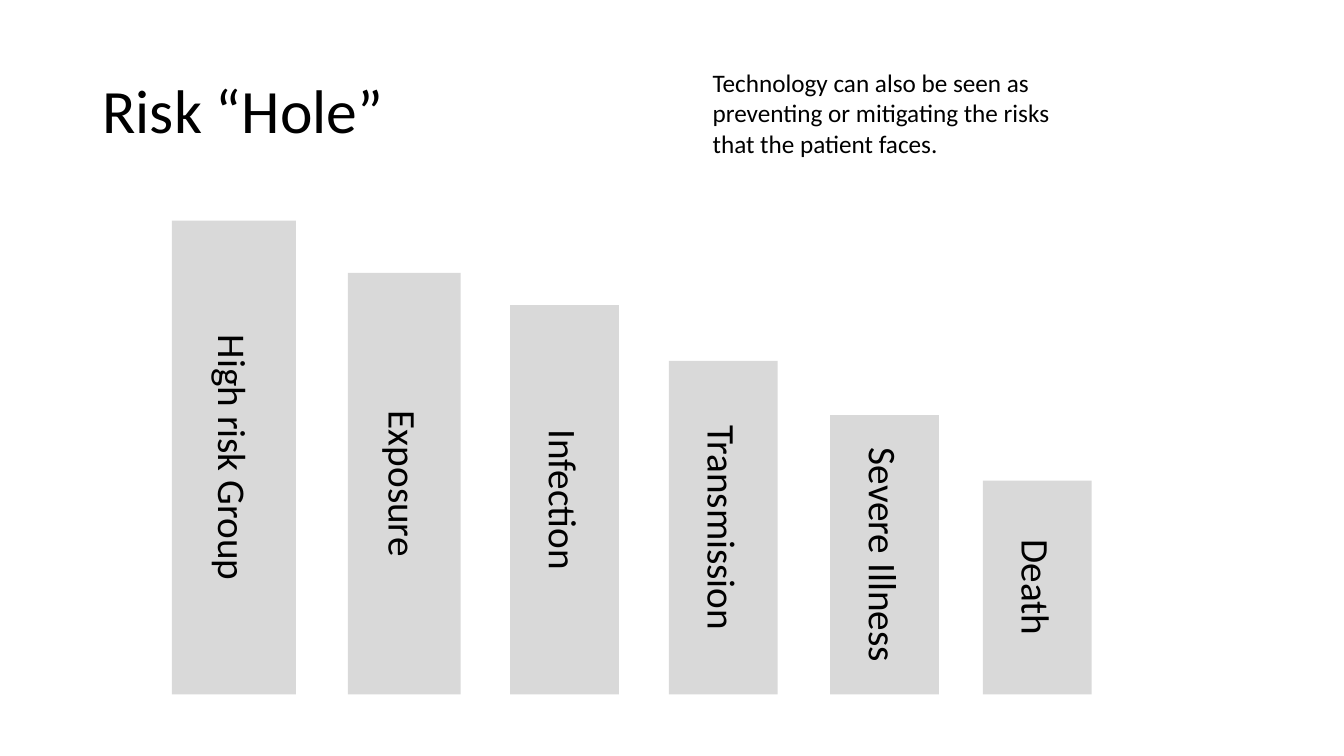
from pptx import Presentation
from pptx import util as u
from pptx.dml.color import RGBColor
from pptx.enum import shapes, text

BLACK = RGBColor(0x00, 0x00, 0x00)
GREY = RGBColor(0xD9, 0xD9, 0xD9)

# Label, centre from the left edge of the slide, height, width (points)
STAGES = [
    ("High risk Group", 167, 338.4, 88.6),
    ("Exposure", 288.7, 301, 80.6),
    ("Infection", 403.2, 278, 77.8),
    ("Transmission", 516.6, 238.3, 77.8),
    ("Severe Illness", 631.8, 199.4, 77.8),
    ("Death", 740.9, 152.6, 77.8),
]


def write(sp, wording, size, align, anchor):
    tf = sp.text_frame
    frame_format = {"word_wrap": True, "vertical_anchor": anchor,
                    "auto_size": text.MSO_AUTO_SIZE.NONE}
    for name, value in frame_format.items():
        setattr(tf, name, value)
    p = tf.paragraphs[0]
    p.alignment = align
    r = p.add_run()
    r.text = wording
    for name, value in {"name": "Calibri", "size": u.Pt(size)}.items():
        setattr(r.font, name, value)
    r.font.color.rgb = BLACK
    return p


def add_title(s, left, top, width, height):
    sp = s.shapes.title
    box = {"left": left, "top": top, "width": width, "height": height}
    for name, value in box.items():
        setattr(sp, name, u.Pt(value))
    p = write(sp, "Risk “Hole”", 44, text.PP_ALIGN.LEFT, text.MSO_ANCHOR.MIDDLE)
    p.line_spacing = 0.9


def add_remark(s, left, top, width, height):
    sp = s.shapes.add_textbox(*map(u.Pt, (left, top, width, height)))
    write(sp, "Technology can also be seen as preventing or mitigating "
              "the risks that the patient faces.",
          18, text.PP_ALIGN.LEFT, text.MSO_ANCHOR.TOP)
    sp.text_frame.auto_size = text.MSO_AUTO_SIZE.SHAPE_TO_FIT_TEXT


def add_stages(s, left, bottom):
    """Descending bars on one baseline, turned so that labels read downwards."""
    for label, centre, height, width in STAGES:
        x = left + centre - height / 2
        y = bottom - height / 2 - width / 2
        sp = s.shapes.add_shape(shapes.MSO_SHAPE.RECTANGLE,
                                *map(u.Pt, (x, y, height, width)))
        sp.rotation = 90
        sp.shadow.inherit = False
        sp.fill.solid()
        sp.fill.fore_color.rgb = GREY
        sp.line.fill.background()
        write(sp, label, 28, text.PP_ALIGN.CENTER, text.MSO_ANCHOR.MIDDLE)


def main():
    prs = Presentation()
    prs.slide_width, prs.slide_height = u.Pt(960), u.Pt(540)
    s = prs.slides.add_slide(prs.slide_layouts[5])
    add_title(s, 66, 28.8, 828, 104.4)
    add_remark(s, 502, 44.6, 260, 72.7)
    add_stages(s, 0, 496)
    prs.save("out.pptx")


if __name__ == "__main__":
    main()
